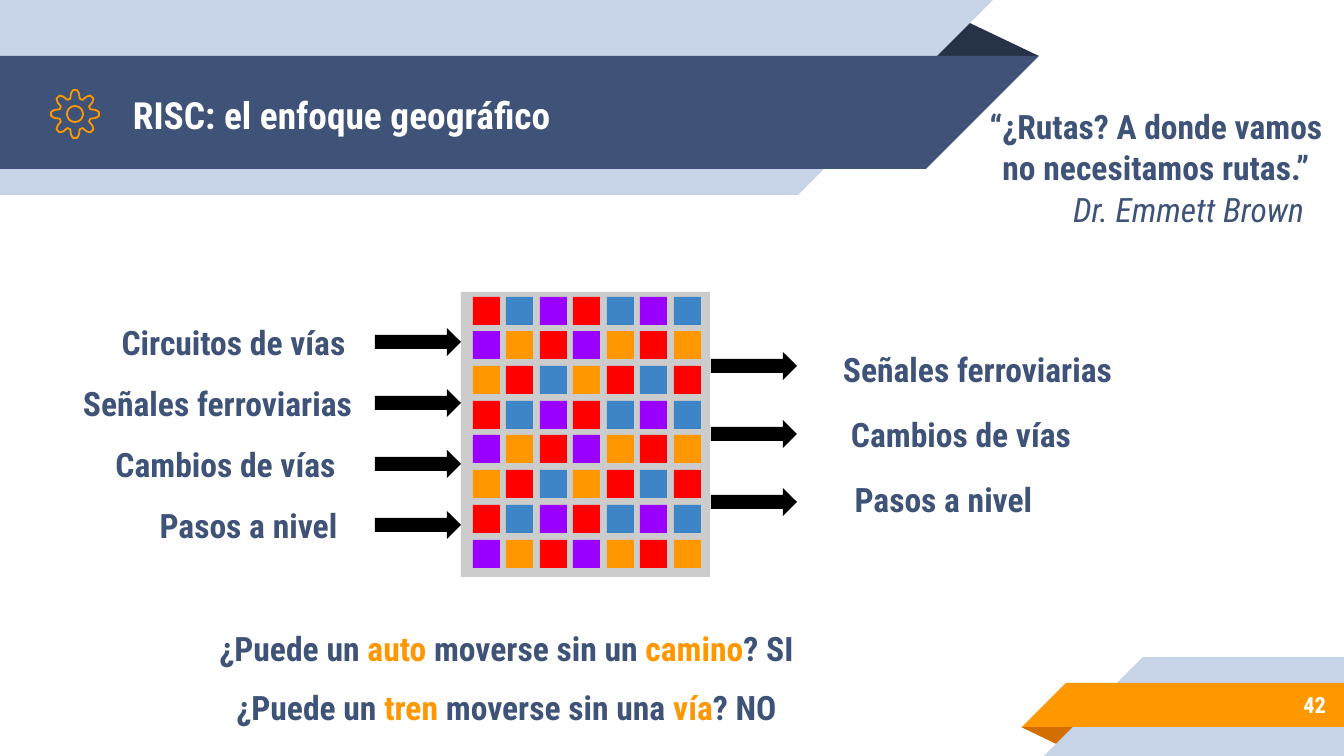
import math

import pptx
import pptx.dml.color
import pptx.enum.shapes
import pptx.enum.text
import pptx.util

SCALE = 914400 / 134.4  # EMU per px
SHAPE = pptx.enum.shapes.MSO_SHAPE
ALIGN = pptx.enum.text.PP_ALIGN
COLORS = {
    "navy": "3F5378", "dark": "263248", "light": "C7D3E6",
    "orange": "FF9800", "rust": "D26F00", "white": "FFFFFF",
    "black": "000000", "gray": "CCCCCC",
    "red": "FF0000", "blue": "3D85C6", "purple": "9900FF",
}


def emu(px):
    return pptx.util.Emu(round(px * SCALE))


def color(name):
    return pptx.dml.color.RGBColor.from_string(COLORS[name])


class SlideBuilder:
    font = "Roboto Condensed"
    inset = 13

    def __init__(self, page):
        self.page = page

    def shape(self, kind, left, top, width, height, fill, flip=None, rotation=0):
        shape = self.page.shapes.add_shape(
            kind, emu(left), emu(top), emu(width), emu(height))
        shape.shadow.inherit = False
        shape.fill.solid()
        shape.fill.fore_color.rgb = color(fill)
        shape.line.fill.background()
        shape.rotation = rotation
        if flip:
            shape._element.spPr.xfrm.set(flip, "1")
        return shape

    def text(self, paragraphs, left, top, width, height, size=18, ink="navy",
             align=ALIGN.CENTER, bold=True, italic=False, spacing=1.0):
        """Each paragraph is a list of (text, color name) spans; None means ink."""
        box = self.page.shapes.add_textbox(
            emu(left), emu(top), emu(width), emu(height))
        frame = box.text_frame
        frame.word_wrap = True
        frame.vertical_anchor = pptx.enum.text.MSO_ANCHOR.MIDDLE
        frame.margin_left = frame.margin_right = emu(self.inset)
        frame.margin_top = frame.margin_bottom = emu(self.inset)
        for index, spans in enumerate(paragraphs):
            para = frame.add_paragraph() if index else frame.paragraphs[0]
            para.alignment = align
            para.line_spacing = spacing
            if index:
                para.space_before = pptx.util.Pt(10)
            for words, tint in spans:
                span = para.add_run()
                span.text = words
                span.font.name = self.font
                span.font.size = pptx.util.Pt(size)
                span.font.bold = bold
                span.font.italic = italic
                span.font.color.rgb = color(tint or ink)

    def label(self, words, *place, **style):
        self.text([[(words, None)]], *place, **style)

    def gear(self, center_x, center_y):
        tooth = [(-17, 16), (-11, 21), (-5, 24), (5, 24), (11, 21), (17, 16)]
        rim = [(45 * turn + angle, radius)
               for turn in range(8) for angle, radius in tooth]
        hub = [(angle, 8) for angle in range(0, 360, 15)]

        # Outline coordinates are tenths of a px
        def points(polar):
            return [(10 * (center_x + radius * math.cos(math.radians(angle))),
                     10 * (center_y + radius * math.sin(math.radians(angle))))
                    for angle, radius in polar]

        rim, hub = points(rim), points(hub)
        builder = self.page.shapes.build_freeform(*rim[0], scale=SCALE / 10)
        builder.add_line_segments(rim[1:], close=True)
        builder.move_to(*hub[0])
        builder.add_line_segments(hub[1:], close=True)
        shape = builder.convert_to_shape()
        shape.shadow.inherit = False
        shape.fill.background()
        shape.line.color.rgb = color("orange")
        shape.line.width = pptx.util.Pt(0.96)


def main():
    deck = pptx.Presentation()
    deck.slide_width, deck.slide_height = emu(1344), emu(756)
    page = deck.slides.add_slide(deck.slide_layouts[6])
    slide = SlideBuilder(page)

    # Header ribbon
    fold = slide.shape(SHAPE.ISOSCELES_TRIANGLE, 925, 19, 114, 37, "dark")
    fold.adjustments[0] = 0.32
    for top, width, height, fill in [(0, 798, 195, "light"), (56, 926, 113, "navy")]:
        slide.shape(SHAPE.RECTANGLE, 0, top, width, height, fill)
        slide.shape(SHAPE.RIGHT_TRIANGLE, width, top, height, height, fill, "flipV")

    # Footer ribbon
    fold = slide.shape(SHAPE.ISOSCELES_TRIANGLE, 1021, 727, 58, 19, "rust", rotation=180)
    fold.adjustments[0] = 0.32
    for left, top, height, fill in [(1143, 657, 99, "light"), (1066, 683, 44, "orange")]:
        slide.shape(SHAPE.RECTANGLE, left, top, 1344 - left, height, fill)
        slide.shape(SHAPE.RIGHT_TRIANGLE, left - height, top, height, height, fill, "flipH")

    # Title, page number and icon
    slide.label("RISC: el enfoque geográfico", 120, 58, 808, 113,
                size=20, ink="white", align=ALIGN.LEFT)
    slide.label("42", 1120, 681, 219, 47, size=12, ink="white", align=ALIGN.RIGHT)
    slide.gear(75, 114)

    # Quote
    slide.label("“¿Rutas? A donde vamos no necesitamos rutas.”", 974, 90, 364, 113)
    slide.label("Dr. Emmett Brown", 1060, 171, 284, 70, align=ALIGN.LEFT,
                bold=False, italic=True, spacing=1.15)

    # Block with its grid of coloured cells
    slide.shape(SHAPE.RECTANGLE, 461, 292, 249, 285, "gray")
    patterns = [
        ["red", "blue", "purple", "red", "blue", "purple", "blue"],
        ["purple", "orange", "red", "purple", "orange", "red", "orange"],
        ["orange", "red", "blue", "orange", "red", "blue", "red"],
    ]
    for row in range(8):
        for column, fill in enumerate(patterns[row % 3]):
            slide.shape(SHAPE.RECTANGLE, 473 + column * 67 // 2,
                        297 + row * 243 // 7, 27, 28, fill)

    # Inputs: labels end at the arrows
    inputs = [("Circuitos de vías", 281, 82), ("Señales ferroviarias", 313, 82),
              ("Cambios de vías", 297, 113), ("Pasos a nivel", 251, 113)]
    for index, (words, width, height) in enumerate(inputs):
        middle = 342 + 61 * index
        slide.shape(SHAPE.RIGHT_ARROW, 375, middle - 14, 86, 28, "black")
        slide.label(words, 374 - width, middle - height // 2, width, height)

    # Outputs: labels start after the arrows
    outputs = [("Señales ferroviarias", 339, 82), ("Cambios de vías", 306, 113),
               ("Pasos a nivel", 271, 113)]
    for index, (words, width, height) in enumerate(outputs):
        slide.shape(SHAPE.RIGHT_ARROW, 711, 352 + 68 * index, 86, 28, "black")
        slide.label(words, 808, 369 + 65 * index - height // 2, width, height)

    # Closing questions
    slide.text([
        [("¿Puede un ", None), ("auto", "orange"), (" moverse sin un ", None),
         ("camino", "orange"), ("? SI", None)],
        [("¿Puede un ", None), ("tren ", "orange"), ("moverse sin una ", None),
         ("vía", "orange"), ("? NO", None)],
    ], 8, 621, 997, 113)

    deck.save("out.pptx")


if __name__ == "__main__":
    main()
